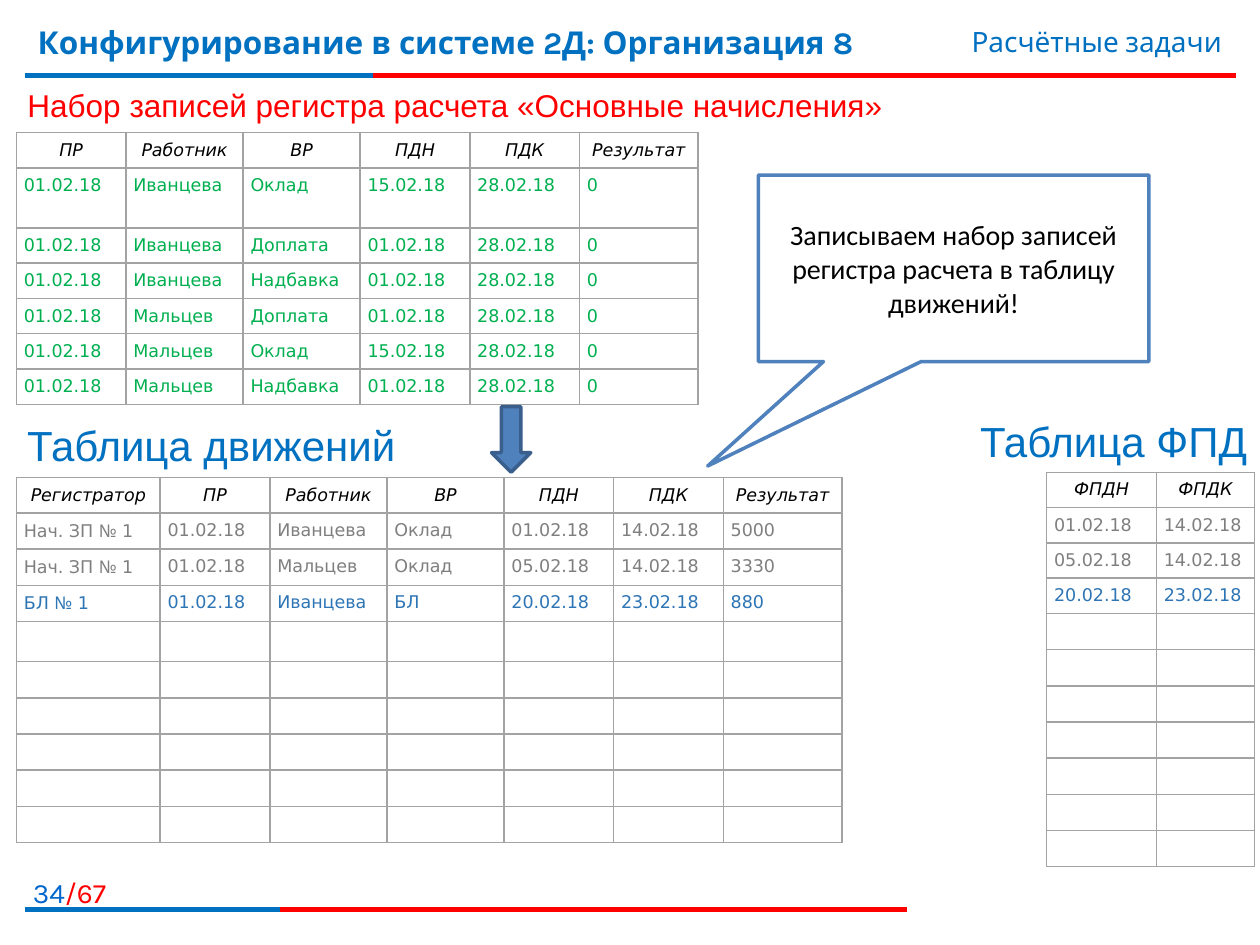
"""Build the slide that writes a calculation register record set to the movements table."""
import dataclasses
import typing

import pptx
import pptx.dml.color
import pptx.enum.shapes
import pptx.enum.text
import pptx.oxml.ns
import pptx.util
from lxml import etree
from pptx.util import Cm, Pt

COLORS = {
    "blue": "0070C0", "page": "0066CC", "red": "FF0000", "black": "000000", "white": "FFFFFF",
    "grid": "A3A3A3", "past": "7F7F7F", "sick": "2E75B5", "new": "00B050",
    "accent": "4F81BD", "accent_edge": "3A5F8C",
}
FORMATS = {
    "course": {"name": "Karla", "size": Pt(18), "bold": True},
    "topic": {"name": "Karla", "size": Pt(16)},
    "heading": {"name": "Arial", "size": Pt(18), "bold": False},
    "caption": {"name": "Arial", "size": Pt(24)},
    "callout": {"name": "Calibri", "size": Pt(16)},
    "header": {"name": "DejaVu Sans", "size": Pt(10), "italic": True},
    "cell": {"name": "DejaVu Sans", "size": Pt(10), "italic": False},
}
COLUMN_WIDTHS = {
    "Регистратор": 2.9, "ПР": 2.21, "Работник": 2.36, "ВР": 2.36, "ПДН": 2.21,
    "ПДК": 2.21, "Результат": 2.39, "ФПДН": 2.21, "ФПДК": 1.98,
}
ROW_HEIGHT = 0.71
CELL_MARGIN = 0.15
ALIGN = pptx.enum.text.PP_ALIGN
ANCHOR = pptx.enum.text.MSO_ANCHOR
SHAPE = pptx.enum.shapes.MSO_SHAPE


class Rule(typing.NamedTuple):
    """A horizontal line of the frame, in centimetres."""
    left: float
    right: float
    y: float
    color: str


class Label(typing.NamedTuple):
    """A text line: its box in centimetres, coloured runs and format."""
    box: tuple[float, float, float, float]
    runs: list[tuple[str, str]]
    style: str
    align: ALIGN = ALIGN.LEFT


@dataclasses.dataclass
class Register:
    """A table of records, each row given as a colour and its values."""
    left: float
    top: float
    columns: list[str]
    records: list[tuple[str, list[str]]]
    empty_rows: int = 0
    tall_rows: dict[int, float] = dataclasses.field(default_factory=dict)


RULES = [
    Rule(0.51, 24.92, 1.52, "red"), Rule(0.51, 7.52, 1.52, "blue"),
    Rule(0.51, 18.29, 18.34, "red"), Rule(0.51, 5.64, 18.34, "blue"),
]
HEADING = Label((0.3, 1.6, 23.39, 1.02),
                [("Набор записей регистра расчета «Основные начисления»", "red")], "heading")
LABELS = [
    Label((0, 17.53, 2.39, 0.81), [("34", "page"), ("/67", "red")], "topic", ALIGN.RIGHT),
    Label((0.51, 0.33, 18.8, 1.57),
          [("Конфигурирование в системе 2Д: Организация 8", "blue")], "course"),
    Label((15.09, 0.38, 9.8, 0.94), [("Расчётные задачи", "blue")], "topic", ALIGN.RIGHT),
    Label((0.3, 8.33, 8, 1.27), [("Таблица движений", "blue")], "caption"),
    Label((19.51, 8.25, 5.92, 1.27), [("Таблица ФПД", "blue")], "caption"),
]
RECORD_COLUMNS = ["ПР", "Работник", "ВР", "ПДН", "ПДК", "Результат"]
ACCRUALS = [
    ("Иванцева", "Оклад", "15.02.18"), ("Иванцева", "Доплата", "01.02.18"),
    ("Иванцева", "Надбавка", "01.02.18"), ("Мальцев", "Доплата", "01.02.18"),
    ("Мальцев", "Оклад", "15.02.18"), ("Мальцев", "Надбавка", "01.02.18"),
]
MOVEMENTS = [
    ("past", "Нач. ЗП № 1", "Иванцева", "Оклад", "01.02.18", "14.02.18", "5000"),
    ("past", "Нач. ЗП № 1", "Мальцев", "Оклад", "05.02.18", "14.02.18", "3330"),
    ("sick", "БЛ № 1", "Иванцева", "БЛ", "20.02.18", "23.02.18", "880"),
]
REGISTERS = [
    Register(21.1, 9.52, ["ФПДН", "ФПДК"],
             [(color, list(values[3:5])) for color, *values in MOVEMENTS], 7),
    Register(0.33, 2.67, RECORD_COLUMNS,
             [("new", ["01.02.18", worker, kind, start, "28.02.18", "0"])
              for worker, kind, start in ACCRUALS], tall_rows={1: 1.21}),
    Register(0.33, 9.63, ["Регистратор", *RECORD_COLUMNS],
             [(color, [document, "01.02.18", *values])
              for color, document, *values in MOVEMENTS], 6, {4: 0.81}),
]


def rgb(color: str) -> pptx.dml.color.RGBColor:
    """Return the named colour."""
    return pptx.dml.color.RGBColor.from_string(COLORS[color])


def add_run(paragraph, text: str, style: str, color: str, **changes) -> None:
    """Append a formatted run to a paragraph."""
    run = paragraph.add_run()
    run.text = text
    for attribute, value in (FORMATS[style] | changes).items():
        setattr(run.font, attribute, value)
    run.font.color.rgb = rgb(color)


def draw_rule(slide, rule: Rule) -> None:
    """Draw one frame line."""
    line = slide.shapes.add_connector(
        pptx.enum.shapes.MSO_CONNECTOR.STRAIGHT,
        Cm(rule.left), Cm(rule.y), Cm(rule.right), Cm(rule.y))
    line.line.color.rgb = rgb(rule.color)
    line.line.width = Pt(3)
    etree.SubElement(line._element.spPr, pptx.oxml.ns.qn("a:effectLst"))


def write_label(box, label: Label) -> None:
    """Place a text shape and fill it with the label."""
    for side, length in zip(("left", "top", "width", "height"), label.box):
        setattr(box, side, Cm(length))
    frame = box.text_frame
    frame.word_wrap = True
    frame.auto_size = pptx.enum.text.MSO_AUTO_SIZE.NONE
    frame.vertical_anchor = ANCHOR.TOP
    paragraph = frame.paragraphs[0]
    paragraph.alignment = label.align
    for text, color in label.runs:
        add_run(paragraph, text, label.style, color)


def frame_cell(cell) -> None:
    """Give a cell its margins, grid lines and clear fill."""
    for side in ("left", "right", "top", "bottom"):
        setattr(cell, f"margin_{side}", Cm(CELL_MARGIN))
    properties = cell._tc.get_or_add_tcPr()
    for edge in ("lnL", "lnR", "lnT", "lnB"):
        border = etree.SubElement(properties, pptx.oxml.ns.qn(f"a:{edge}"), w=str(Pt(1)))
        fill = etree.SubElement(border, pptx.oxml.ns.qn("a:solidFill"))
        etree.SubElement(fill, pptx.oxml.ns.qn("a:srgbClr"), val=COLORS["grid"])
    cell.fill.background()


def write_cell(cell, text: str, style: str, color: str) -> None:
    """Write a cell, with the number sign in its own font."""
    paragraph = cell.text_frame.paragraphs[0]
    paragraph.alignment = ALIGN.CENTER if style == "header" else ALIGN.LEFT
    for piece in filter(None, text.partition("№")):
        add_run(paragraph, piece, style, color, **({"name": "Cabin"} if piece == "№" else {}))
    if not text:
        etree.SubElement(paragraph._p, pptx.oxml.ns.qn("a:endParaRPr"), sz="1000")


def draw_register(slide, register: Register) -> None:
    """Draw one table of records."""
    blank = ("black", [""] * len(register.columns))
    rows = [("black", register.columns), *register.records, *[blank] * register.empty_rows]
    widths = [COLUMN_WIDTHS[name] for name in register.columns]
    heights = [register.tall_rows.get(index, ROW_HEIGHT) for index in range(len(rows))]
    table = slide.shapes.add_table(
        len(rows), len(widths), Cm(register.left), Cm(register.top),
        Cm(sum(widths)), Cm(sum(heights))).table
    table.first_row = table.horz_banding = False
    for column, width in zip(table.columns, widths):
        column.width = Cm(width)
    for index, (row, height, (color, values)) in enumerate(zip(table.rows, heights, rows)):
        row.height = Cm(height)
        for cell, value in zip(row.cells, values):
            frame_cell(cell)
            write_cell(cell, value, "cell" if index else "header", color)


def draw_shape(slide, preset: SHAPE, box: tuple[float, ...], fill: str, edge: str):
    """Draw a preset shape with flat fill and outline."""
    shape = slide.shapes.add_shape(preset, *map(Cm, box))
    shape.shadow.inherit = False
    shape.fill.solid()
    shape.fill.fore_color.rgb = rgb(fill)
    shape.line.color.rgb = rgb(edge)
    shape.line.width = Pt(2)
    return shape


def main() -> None:
    """Build and save the slide."""
    deck = pptx.Presentation()
    deck.slide_width, deck.slide_height = Cm(25.4), Cm(19.05)
    slide = deck.slides.add_slide(deck.slide_layouts[5])
    for rule in RULES:
        draw_rule(slide, rule)
    write_label(slide.shapes.title, HEADING)
    for label in LABELS:
        write_label(slide.shapes.add_textbox(*map(Cm, label.box)), label)
    for register in REGISTERS:
        draw_register(slide, register)
    draw_shape(slide, SHAPE.DOWN_ARROW, (9.91, 8.2, 0.79, 1.32), "accent", "accent_edge")
    callout_box = (15.29, 3.53, 7.87, 3.76)
    callout = draw_shape(slide, SHAPE.RECTANGULAR_CALLOUT, callout_box, "white", "accent")
    callout.adjustments[0], callout.adjustments[1] = -0.63, 1.06
    message = "Записываем набор записей регистра расчета в таблицу движений!"
    write_label(callout, Label(callout_box, [(message, "black")], "callout", ALIGN.CENTER))
    callout.text_frame.vertical_anchor = ANCHOR.MIDDLE
    deck.save("out.pptx")


if __name__ == "__main__":
    main()
